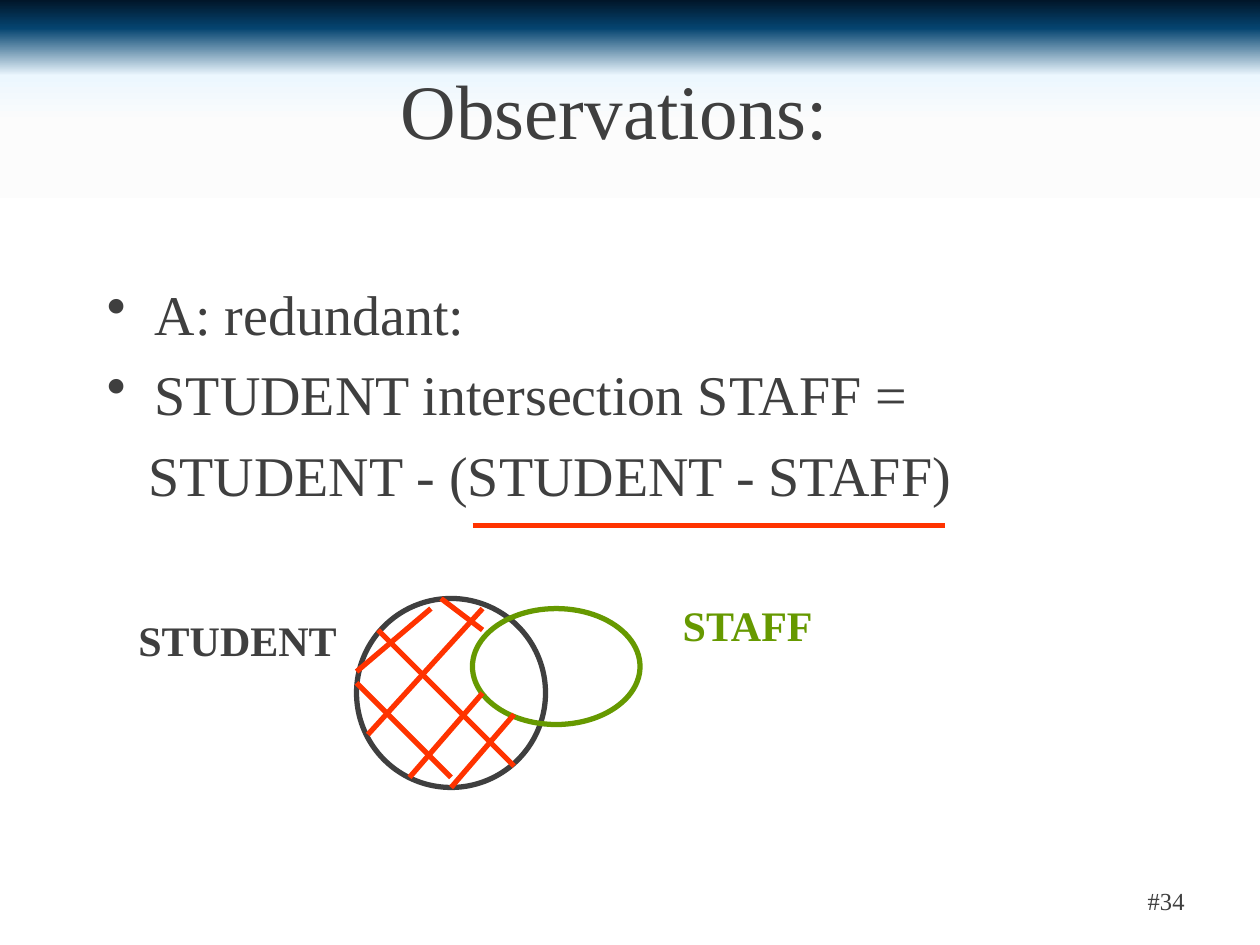
from dataclasses import dataclass

from lxml import etree
from pptx import Presentation
from pptx.dml.color import RGBColor
from pptx.enum.shapes import MSO_CONNECTOR, MSO_SHAPE
from pptx.enum.text import MSO_ANCHOR, MSO_AUTO_SIZE, PP_ALIGN
from pptx.oxml.ns import qn
from pptx.util import Inches, Pt

LINE = MSO_CONNECTOR.STRAIGHT
OVAL = MSO_SHAPE.OVAL
MIDDLE = MSO_ANCHOR.MIDDLE
FIXED = MSO_AUTO_SIZE.NONE
LEFT, CENTER, RIGHT = PP_ALIGN.LEFT, PP_ALIGN.CENTER, PP_ALIGN.RIGHT

FONT = "Times New Roman"
COLORS = {"ink": "3F3F3F", "staff": "669900", "mark": "FF3300"}
SKY = [(0, "011629"), (3, "054470"), (8, "ECF7FE"),
       (13, "FCFCFC"), (21, "FFFFFF"), (98, "FFFFFF")]


@dataclass
class Box:
    left: float
    top: float
    width: float
    height: float

    def place(self) -> list:
        return [Inches(v) for v in (self.left, self.top, self.width, self.height)]


@dataclass
class Circle:
    name: str
    color: str
    oval: Box
    label: Box


@dataclass
class Stroke:
    x1: float
    y1: float
    x2: float
    y2: float


CIRCLES = [
    Circle("STUDENT", "ink", Box(2.83, 4.75, 1.5, 1.5), Box(1, 4.83, 1.78, 0.5)),
    Circle("STAFF", "staff", Box(3.75, 4.83, 1.33, 0.92), Box(5.32, 4.71, 1.26, 0.5)),
]
UNDERLINE = Stroke(3.75, 4.17, 7.5, 4.17)
HATCH = [
    Stroke(3.42, 4.83, 2.83, 5.33),
    Stroke(3.83, 4.83, 2.92, 5.83),
    Stroke(3.83, 5.5, 3.25, 6.17),
    Stroke(4.08, 5.67, 3.58, 6.25),
    Stroke(2.83, 5.42, 3.58, 6.17),
    Stroke(3, 5, 4.08, 6.08),
    Stroke(3.5, 4.75, 3.83, 5),
]
POINTS = [
    ("A: redundant:", True),
    ("STUDENT intersection STAFF =", True),
    ("STUDENT - (STUDENT - STAFF)", False),
]


def rgb(name: str) -> RGBColor:
    return RGBColor.from_string(COLORS[name])


def style(para, size: float, color: str = "ink", bold: bool = False, align=LEFT) -> None:
    font = para.font
    font.name, font.size, font.bold = FONT, Pt(size), bold
    font.color.rgb = rgb(color)
    para.alignment = align


def add_text(slide, box: Box, text: str, wrap: bool = True):
    frame = slide.shapes.add_textbox(*box.place()).text_frame
    frame.word_wrap = wrap
    frame.text = text
    return frame


def paint_sky(slide) -> None:
    fill = slide.background.fill
    fill.gradient()
    fill.gradient_angle = 270
    stops = next(slide.element.iter(qn("a:gsLst")))
    for stop in list(stops):
        stops.remove(stop)
    for pos, color in SKY:
        stop = etree.SubElement(stops, qn("a:gs"), pos=str(pos * 1000))
        etree.SubElement(stop, qn("a:srgbClr"), val=color)


def add_title(slide, box: Box, text: str) -> None:
    title = slide.shapes.title
    title.left, title.top, title.width, title.height = box.place()
    frame = title.text_frame
    frame.text = text
    frame.auto_size = FIXED
    frame.vertical_anchor = MIDDLE
    style(frame.paragraphs[0], 44, align=CENTER)


def add_points(slide, box: Box) -> None:
    frame = add_text(slide, box, "\n".join(text for text, _ in POINTS))
    for para, (_, marked) in zip(frame.paragraphs, POINTS):
        style(para, 32)
        para.space_before = Pt(7.5)
        props = para._p.get_or_add_pPr()
        props.set("marL", str(Inches(0.38 if marked else 0.33)))
        props.set("indent", str(Inches(-0.38 if marked else 0)))
        if marked:
            etree.SubElement(props, qn("a:buChar"), char="•")
            props.insert(1, props[-1])


def add_oval(slide, circle: Circle) -> None:
    oval = slide.shapes.add_shape(OVAL, *circle.oval.place())
    oval.shadow.inherit = False
    oval.fill.background()
    oval.line.color.rgb = rgb(circle.color)
    oval.line.width = Pt(3)


def add_label(slide, circle: Circle) -> None:
    frame = add_text(slide, circle.label, circle.name, wrap=False)
    style(frame.paragraphs[0], 24, circle.color, bold=True)


def add_stroke(slide, stroke: Stroke) -> None:
    ends = [Inches(v) for v in (stroke.x1, stroke.y1, stroke.x2, stroke.y2)]
    line = slide.shapes.add_connector(LINE, *ends)
    line.line.color.rgb = rgb("mark")
    line.line.width = Pt(3)
    etree.SubElement(line.element.spPr, qn("a:effectLst"))


def main() -> None:
    deck = Presentation()
    deck.slide_width, deck.slide_height = Inches(10), Inches(7.5)
    slide = deck.slides.add_slide(deck.slide_layouts[5])
    paint_sky(slide)
    add_title(slide, Box(0.17, 0.3, 9.42, 1.12), "Observations:")
    add_points(slide, Box(0.75, 2.17, 8.83, 2.08))
    page = add_text(slide, Box(7.17, 6.95, 2.33, 0.4), "#34")
    page.vertical_anchor = MIDDLE
    style(page.paragraphs[0], 14, align=RIGHT)
    for circle in CIRCLES:
        add_oval(slide, circle)
    for circle in CIRCLES:
        add_label(slide, circle)
    for stroke in [UNDERLINE, *HATCH]:
        add_stroke(slide, stroke)
    deck.save("out.pptx")


if __name__ == "__main__":
    main()
